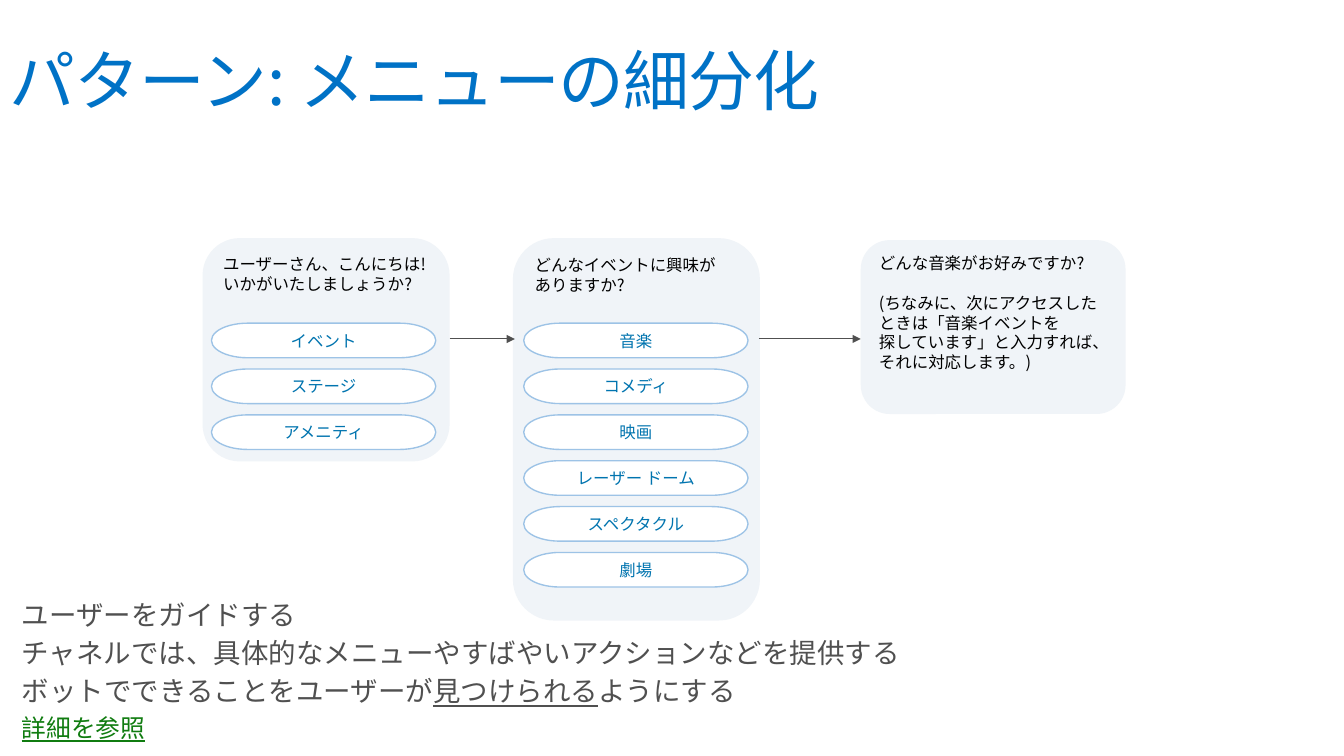
from dataclasses import dataclass

from lxml import etree
from pptx import Presentation
from pptx.dml.color import RGBColor
from pptx.enum import shapes, text
from pptx.oxml import ns
from pptx.util import Inches, Pt


@dataclass(frozen=True)
class Theme:
    face: str = "Noto Sans CJK JP"
    blue: str = "0072C6"
    pill: str = "0074AF"
    edge: str = "9DC3E6"
    card: str = "F0F4F8"
    white: str = "FFFFFF"
    black: str = "000000"
    gray: str = "505050"
    green: str = "107C10"
    head: int = 48
    body: int = 20
    link: int = 18
    small: int = 12


@dataclass(frozen=True)
class Box:
    x: float
    y: float
    w: float
    h: float


@dataclass(frozen=True)
class Card:
    box: Box
    words: tuple[str, ...]
    left: float = 0
    items: tuple[str, ...] = ()


@dataclass(frozen=True)
class Arrow:
    start: float
    end: float


@dataclass(frozen=True)
class Span:
    words: str
    under: bool = False


@dataclass(frozen=True)
class Line:
    spans: tuple[Span, ...]
    size: int
    color: str


T = Theme()
ROW, STEP, MID = 3.27, 2.32 / 5, 3.43
TIGHT, LEAD = 1.2, 1.08
CARDS = (
    Card(Box(2.05, 2.41, 2.5, 2.26),
         ("ユーザーさん、こんにちは! いかがいたしましょうか?",),
         2.14, ("イベント", "ステージ", "アメニティ")),
    Card(Box(5.19, 2.41, 2.5, 3.87),
         ("どんなイベントに興味が\nありますか?",),
         5.3, ("音楽", "コメディ", "映画", "レーザー ドーム", "スペクタクル", "劇場")),
    Card(Box(8.71, 2.43, 2.68, 1.76),
         ("どんな音楽がお好みですか?",
          "(ちなみに、次にアクセスしたときは「音楽イベントを\n"
          "探しています」と入力すれば、それに対応します。)")),
)
ARROWS = (Arrow(4.55, 5.21), Arrow(7.68, 8.71))
NOTES = (
    Line((Span("ユーザーをガイドする"),), T.body, T.gray),
    Line((Span("チャネルでは、具体的なメニューやすばやいアクションなどを提供する"),),
         T.body, T.gray),
    Line((Span("ボットでできることをユーザーが"), Span("見つけられる", True),
          Span("ようにする")), T.body, T.gray),
    Line((Span("詳細を参照", True),), T.link, T.green),
)


def apply(item, **vals) -> None:
    for key, val in vals.items():
        setattr(item, key, val)


def rgb(code: str) -> RGBColor:
    return RGBColor.from_string(code)


def place(box: Box) -> tuple:
    return tuple(Inches(n) for n in (box.x, box.y, box.w, box.h))


def style(run, size: int, color: str, **more) -> None:
    apply(run.font, name=T.face, size=Pt(size), **more)
    run.font.color.rgb = rgb(color)
    props = run._r.get_or_add_rPr()
    etree.SubElement(props, ns.qn("a:ea"), typeface=T.face)


def write(para, words: str, size: int, color: str, lead: float, **form) -> None:
    para.text = words
    apply(para, line_spacing=Pt(size * lead), **form)
    for run in para.runs:
        style(run, size, color)


def shape(slide, kind, box: Box, fill: str):
    item = slide.shapes.add_shape(kind, *place(box))
    item.shadow.inherit = False
    item.fill.solid()
    item.fill.fore_color.rgb = rgb(fill)
    item.text_frame.word_wrap = True
    return item


def pill(slide, box: Box, words: str) -> None:
    item = shape(slide, shapes.MSO_SHAPE.FLOWCHART_TERMINATOR, box, T.white)
    item.line.color.rgb = rgb(T.edge)
    item.line.width = Pt(1)
    frame = item.text_frame
    frame.vertical_anchor = text.MSO_ANCHOR.MIDDLE
    write(frame.paragraphs[0], words, T.small, T.pill, TIGHT,
          alignment=text.PP_ALIGN.CENTER)


def card(slide, data: Card) -> None:
    item = shape(slide, shapes.MSO_SHAPE.ROUNDED_RECTANGLE, data.box, T.card)
    item.line.fill.background()
    frame = item.text_frame
    frame.vertical_anchor = text.MSO_ANCHOR.TOP
    for i, words in enumerate(data.words):
        para = frame.add_paragraph() if i else frame.paragraphs[0]
        write(para, words, T.small, T.black, TIGHT,
              alignment=text.PP_ALIGN.LEFT,
              space_before=Pt(T.small * TIGHT if i else 0))
    for i, words in enumerate(data.items):
        pill(slide, Box(data.left, ROW + i * STEP, 2.27, 0.35), words)


def arrow(slide, data: Arrow) -> None:
    item = slide.shapes.add_connector(
        shapes.MSO_CONNECTOR.STRAIGHT,
        *(Inches(n) for n in (data.start, MID, data.end, MID)))
    item.line.color.rgb = rgb(T.gray)
    item.line.width = Pt(0.75)
    props = item._element.spPr
    etree.SubElement(props.find(ns.qn("a:ln")), ns.qn("a:tailEnd"), type="triangle")
    etree.SubElement(props, ns.qn("a:effectLst"))


def title(slide) -> None:
    item = slide.shapes.title
    box = place(Box(0, 0.32, 13, 1))
    apply(item, **dict(zip(("left", "top", "width", "height"), box)))
    frame = item.text_frame
    pad = Inches(0.1)
    apply(frame, word_wrap=True, auto_size=text.MSO_AUTO_SIZE.NONE,
          vertical_anchor=text.MSO_ANCHOR.TOP, margin_left=pad,
          margin_right=pad, margin_top=pad, margin_bottom=pad)
    para = frame.paragraphs[0]
    write(para, "パターン: メニューの細分化", T.head, T.blue, 1.17,
          alignment=text.PP_ALIGN.LEFT)
    para.runs[0]._r.get_or_add_rPr().set("spc", "-70")


def notes(slide) -> None:
    frame = slide.shapes.add_textbox(*place(Box(0.02, 5.93, 13.13, 2.14))).text_frame
    apply(frame, word_wrap=True, margin_left=Inches(0.2), margin_right=Inches(0.2),
          margin_top=Inches(0.16), margin_bottom=Inches(0.16))
    for i, line in enumerate(NOTES):
        para = frame.add_paragraph() if i else frame.paragraphs[0]
        apply(para, line_spacing=Pt(line.size * LEAD), space_after=Pt(6))
        for span in line.spans:
            run = para.add_run()
            run.text = span.words
            style(run, line.size, line.color, underline=span.under)


def main() -> None:
    deck = Presentation()
    apply(deck, slide_width=Inches(13.6), slide_height=Inches(7.65))
    slide = deck.slides.add_slide(deck.slide_layouts[5])
    # Heading
    title(slide)
    # Menu cards and the flow between them
    for data in CARDS:
        card(slide, data)
    for data in ARROWS:
        arrow(slide, data)
    # Advice
    notes(slide)
    deck.save("out.pptx")


if __name__ == "__main__":
    main()
